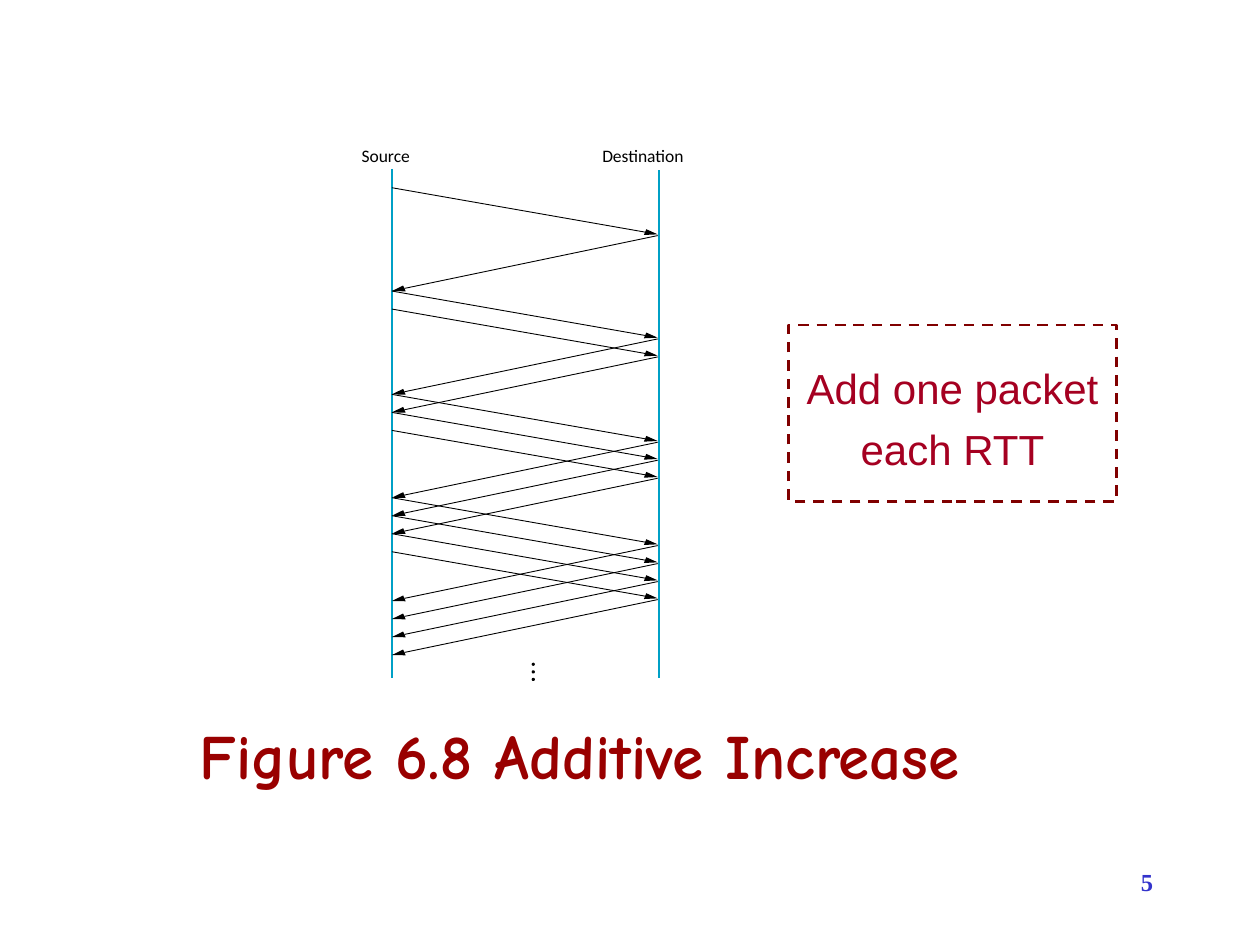
from lxml.etree import SubElement
from pptx import Presentation
from pptx.dml.color import RGBColor
from pptx.enum.dml import MSO_LINE
from pptx.enum.shapes import MSO_CONNECTOR, MSO_SHAPE
from pptx.enum.text import MSO_ANCHOR, PP_ALIGN
from pptx.oxml.ns import qn
from pptx.util import Inches, Pt

TITLE = "Figure 6.8 Additive Increase"
NOTE = ["Add one packet", "each RTT"]
HOSTS = [("Source", 2.87, 0.45, 3.11, 1.34), ("Destination", 4.78, 0.75, 5.23, 1.35)]
PAGE = "5"

ROUNDS = 4
FIRST, RTT, GAP = 1.49, 0.82, 0.143
LEFT, RIGHT, BOTTOM = 3.11, 5.22, 5.38
HEAD = 0.1
DOTS = (4.22, 5.26, 0.06, 0.025)
INK, CYAN = "000000", "00A0C6"

deck = Presentation()
deck.slide_width, deck.slide_height = Inches(10), Inches(7.5)
slide = deck.slides.add_slide(deck.slide_layouts[6])
shapes = slide.shapes


def color(code):
    return RGBColor.from_string(code)


def write(shape, lines, font, size, code, align, bold=False, wrap=True,
          inset=(0.1, 0.05), anchor=MSO_ANCHOR.TOP, space=0):
    frame = shape.text_frame
    frame.word_wrap = wrap
    frame.vertical_anchor = anchor
    frame.margin_left = frame.margin_right = Inches(inset[0])
    frame.margin_top = frame.margin_bottom = Inches(inset[1])
    for i, line in enumerate(lines):
        para = frame.add_paragraph() if i else frame.paragraphs[0]
        para.alignment = align
        if i:
            para.space_before = Pt(space)
        run = para.add_run()
        run.text = line
        run.font.name, run.font.size, run.font.bold = font, Pt(size), bold
        run.font.color.rgb = color(code)
    return frame


def box(x, y, w, h):
    return shapes.add_textbox(Inches(x), Inches(y), Inches(w), Inches(h))


def stroke(x1, y1, x2, y2, code, width):
    line = shapes.add_connector(MSO_CONNECTOR.STRAIGHT, Inches(x1), Inches(y1),
                                Inches(x2), Inches(y2))
    line.line.color.rgb = color(code)
    line.line.width = Pt(width)
    SubElement(line._element.spPr, qn("a:effectLst"))


def solid(shape, code):
    shape.shadow.inherit = False
    shape.fill.solid()
    shape.fill.fore_color.rgb = color(code)
    shape.line.fill.background()


def arrow(x1, y1, x2, y2):
    way = 1 if x2 > x1 else -1
    neck = x2 - way * HEAD
    slope = (y2 - y1) / (x2 - x1)
    mid = y2 - way * HEAD * slope
    stroke(x1, y1, neck, mid, INK, 0.5)
    points = [(neck - 0.01, mid + way * 0.023), (x2, y2), (neck + 0.01, mid - way * 0.023)]
    points = [(Inches(x), Inches(y)) for x, y in points]
    path = shapes.build_freeform(*points[0], scale=1.0)
    path.add_line_segments(points[1:], close=True)
    solid(path.convert_to_shape(), INK)


write(box(0.35, 5.48, 8.5, 1.01), [TITLE], "Comic Neue", 36, "990000",
      PP_ALIGN.CENTER, bold=True, anchor=MSO_ANCHOR.MIDDLE)

for name, x, w, pole, top in HOSTS:
    write(box(x, 1.15, w, 0.17), [name], "Calibri", 10, INK, PP_ALIGN.LEFT,
          wrap=False, inset=(0, 0))
    stroke(pole, top, pole, BOTTOM, CYAN, 1)

for turn in range(ROUNDS):
    for packet in range(turn + 1):
        y = FIRST + turn * RTT + packet * GAP
        arrow(LEFT, y, RIGHT, y + 0.37)
        arrow(RIGHT, y + 0.38, LEFT, y + RTT)

x, y, step, size = DOTS
for i in range(3):
    solid(shapes.add_shape(MSO_SHAPE.OVAL, Inches(x), Inches(y + i * step),
                           Inches(size), Inches(size)), INK)

note = shapes.add_shape(MSO_SHAPE.RECTANGLE, Inches(6.26), Inches(2.58),
                        Inches(2.6), Inches(1.4))
note.shadow.inherit = False
note.fill.background()
note.line.color.rgb = color("800000")
note.line.width = Pt(1.5)
note.line.dash_style = MSO_LINE.DASH
frame = write(note, NOTE, "Arial", 24, "A50021", PP_ALIGN.CENTER, wrap=False,
              anchor=MSO_ANCHOR.MIDDLE, space=6)
frame.margin_top = Inches(0.13)

write(box(7.75, 6.83, 1.5, 0.5), [PAGE], "Times New Roman", 14, "3333CC",
      PP_ALIGN.RIGHT, bold=True)

deck.save("out.pptx")
